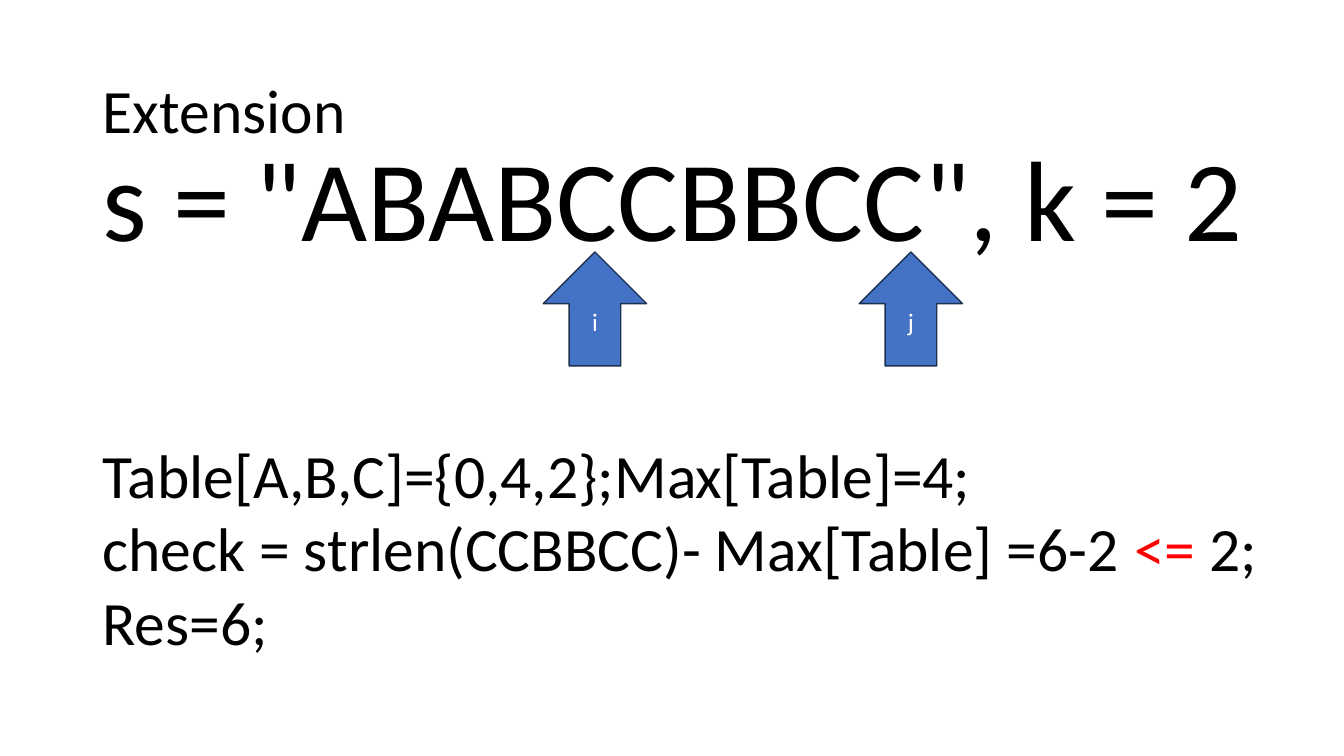
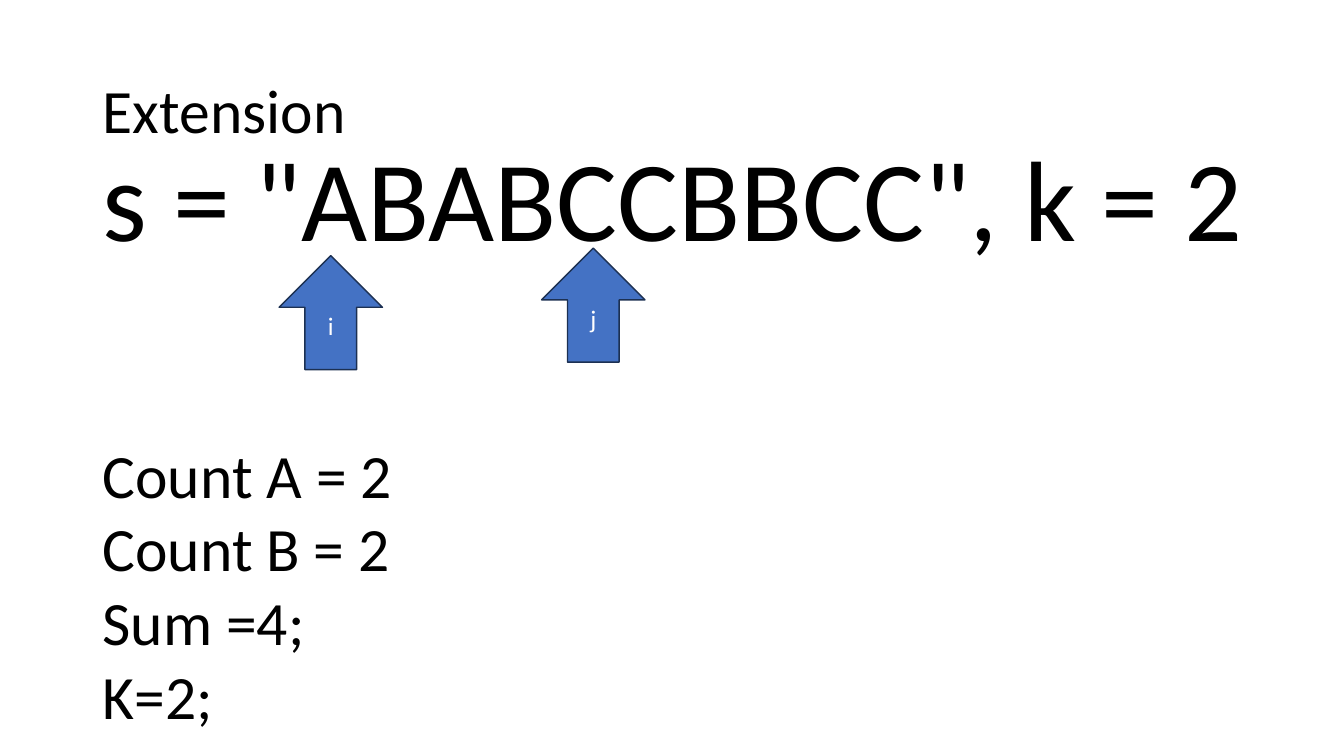
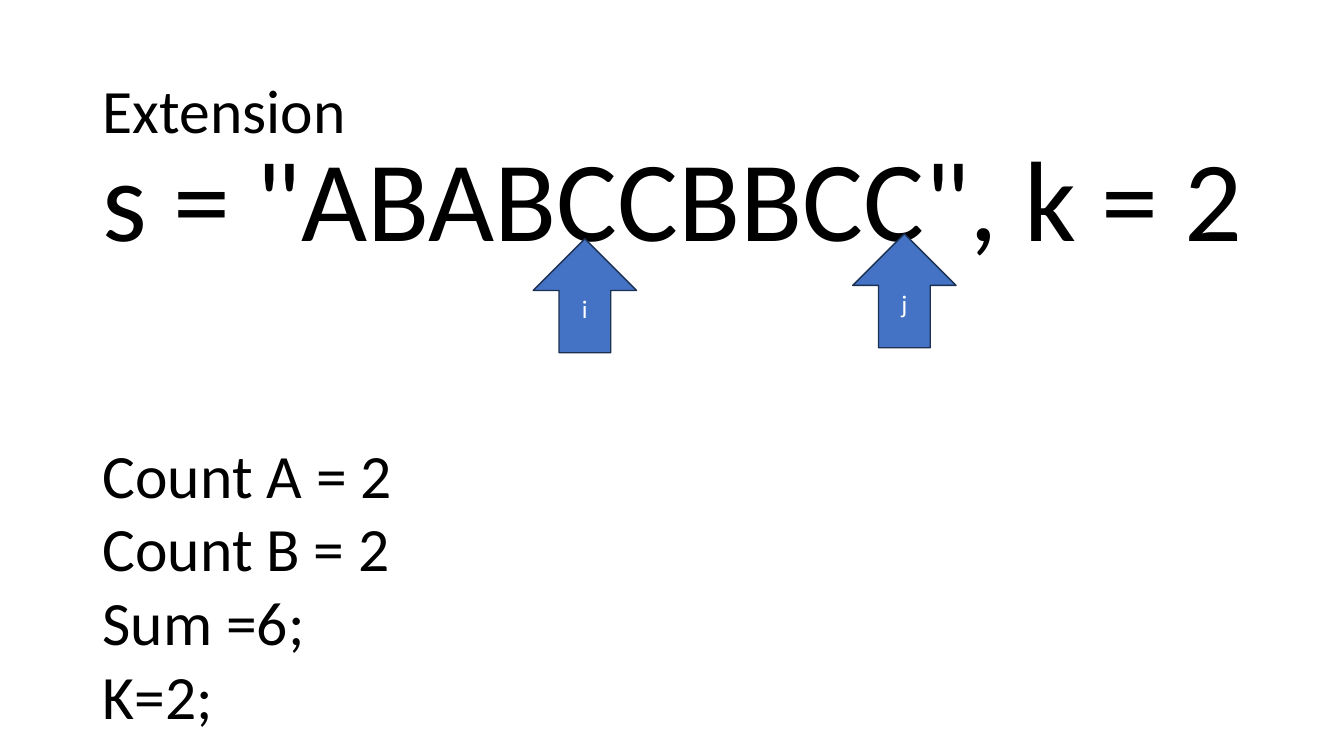
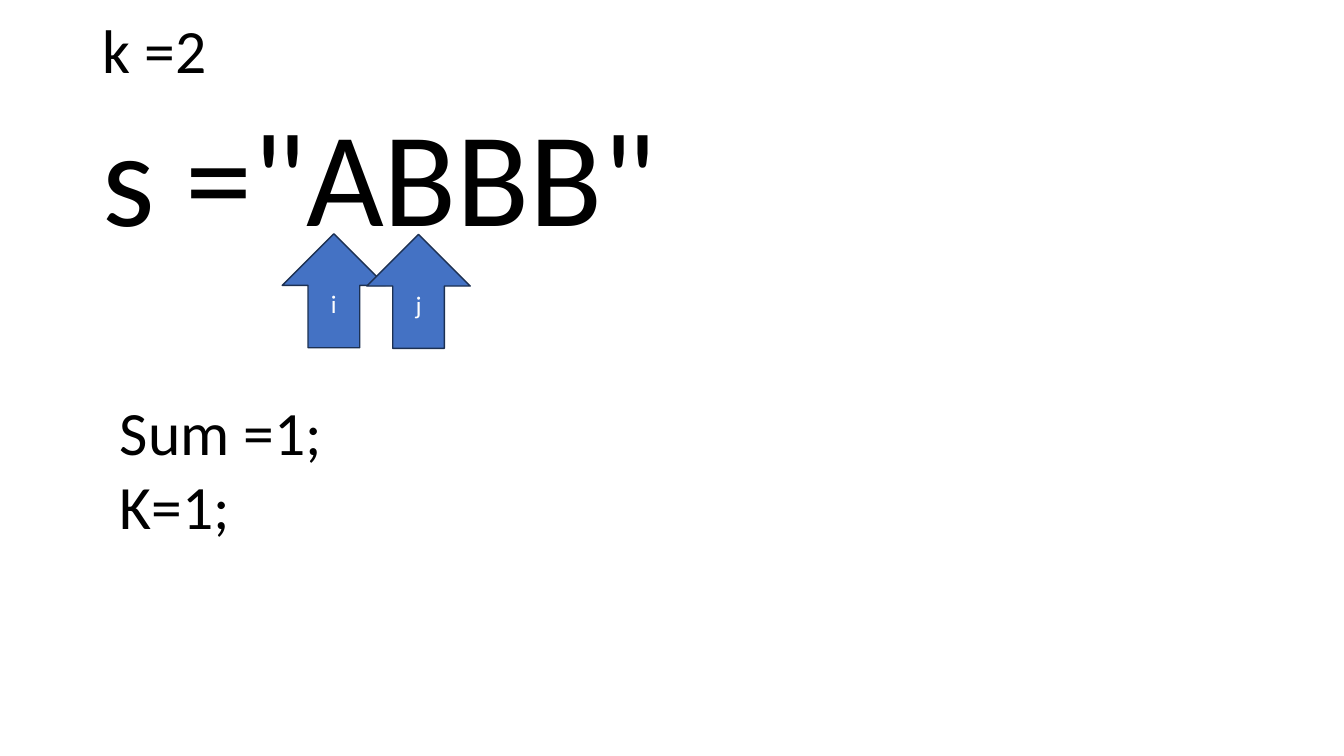
from pptx import Presentation
from pptx.dml.color import RGBColor
from pptx.enum.shapes import MSO_SHAPE
from pptx.enum.text import MSO_ANCHOR, PP_ALIGN
from pptx.util import Pt

BLACK = RGBColor(0x00, 0x00, 0x00)
WHITE = RGBColor(0xFF, 0xFF, 0xFF)
RED = RGBColor(0xFF, 0x00, 0x00)
BLUE = RGBColor(0x44, 0x72, 0xC4)
NAVY = RGBColor(0x1C, 0x30, 0x52)
FONT = "Calibri"
LEFT = 66.2
TEXT_SIZE = 44
ARROW_W, ARROW_H = 73.8, 81.4
COMPARISON = "<= "


def style(r, size, color):
    r.font.name = FONT
    r.font.size = Pt(size)
    r.font.color.rgb = color


def add_text(s, box, lines, size, spacing=1.0, anchor=MSO_ANCHOR.TOP):
    tf = s.shapes.add_textbox(*[Pt(v) for v in box]).text_frame
    tf.word_wrap = True
    tf.vertical_anchor = anchor
    for i, line in enumerate(lines):
        p = tf.paragraphs[0] if i == 0 else tf.add_paragraph()
        p.line_spacing = spacing
        for piece in filter(None, line.partition(COMPARISON)):
            r = p.add_run()
            r.text = piece
            style(r, size, RED if piece == COMPARISON else BLACK)


EXTENSION = ("Extension", (LEFT, 28.8, 828, 104.4))
LONG_STRING = ('s = "ABABCCBBCC", k = 2', (LEFT, 106.6, 864.7, 141.1), 81.6, 0.8)
COUNT_BOX = (LEFT, 308.2, 321.1, 220.3)

SLIDES = [
    (EXTENSION, LONG_STRING, [(388.1, 180), (613.8, 180)],
     (LEFT, 308.2, 850.3, 167),
     ["Table[A,B,C]={0,4,2};Max[Table]=4;",
      "check = strlen(CCBBCC)- Max[Table] =6-2 <= 2;",
      "Res=6;"]),
    (EXTENSION, LONG_STRING, [(199.4, 182.6), (386.9, 177.3)],
     COUNT_BOX, ["Count A = 2", "Count B = 2", "Sum =4;", "K=2;"]),
    (EXTENSION, LONG_STRING, [(380.9, 170.6), (609.1, 167)],
     COUNT_BOX, ["Count A = 2", "Count B = 2", "Sum =6;", "K=2;"]),
    (("k =2", (LEFT, 6.5, 828, 64.1)),
     ('s ="ABBB"', (LEFT, 75.6, 828, 114.5), 96, 0.9),
     [(201.6, 167), (262.1, 167.4)],
     (78.5, 277.9, 321.1, 113.8), ["Sum =1;", "K=1;"]),
]

prs = Presentation()
prs.slide_width, prs.slide_height = Pt(960), Pt(540)

for title, string, arrows, notes_box, notes in SLIDES:
    s = prs.slides.add_slide(prs.slide_layouts[6])
    title_text, title_box = title
    add_text(s, title_box, [title_text], TEXT_SIZE, 0.9, MSO_ANCHOR.MIDDLE)
    string_text, string_box, string_size, string_spacing = string
    add_text(s, string_box, [string_text], string_size, string_spacing)

    for label, (x, y) in zip("ij", arrows):
        sp = s.shapes.add_shape(MSO_SHAPE.UP_ARROW, Pt(x), Pt(y), Pt(ARROW_W), Pt(ARROW_H))
        sp.shadow.inherit = False
        sp.fill.solid()
        sp.fill.fore_color.rgb = BLUE
        sp.line.color.rgb = NAVY
        sp.line.width = Pt(1)
        tf = sp.text_frame
        tf.text = label
        tf.vertical_anchor = MSO_ANCHOR.MIDDLE
        p = tf.paragraphs[0]
        p.alignment = PP_ALIGN.CENTER
        style(p.runs[0], 18, WHITE)

    add_text(s, notes_box, notes, TEXT_SIZE)

prs.save("out.pptx")
